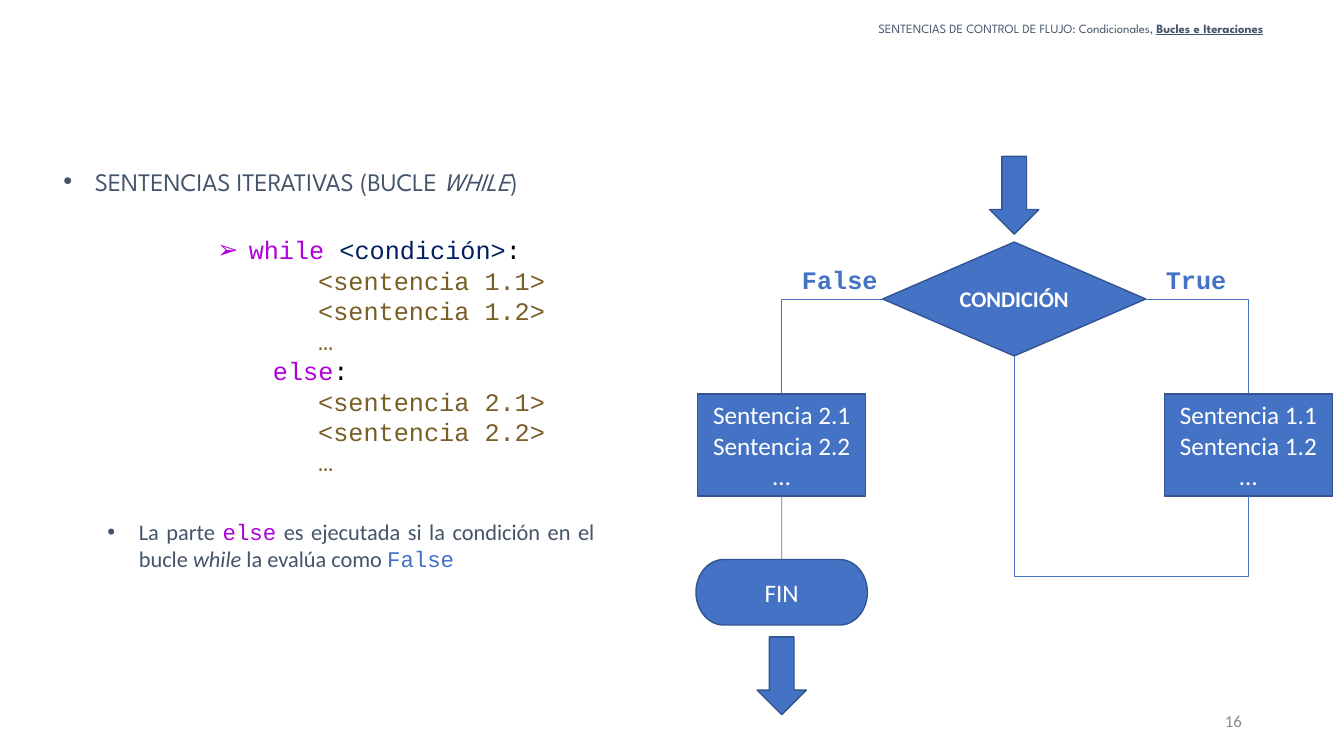
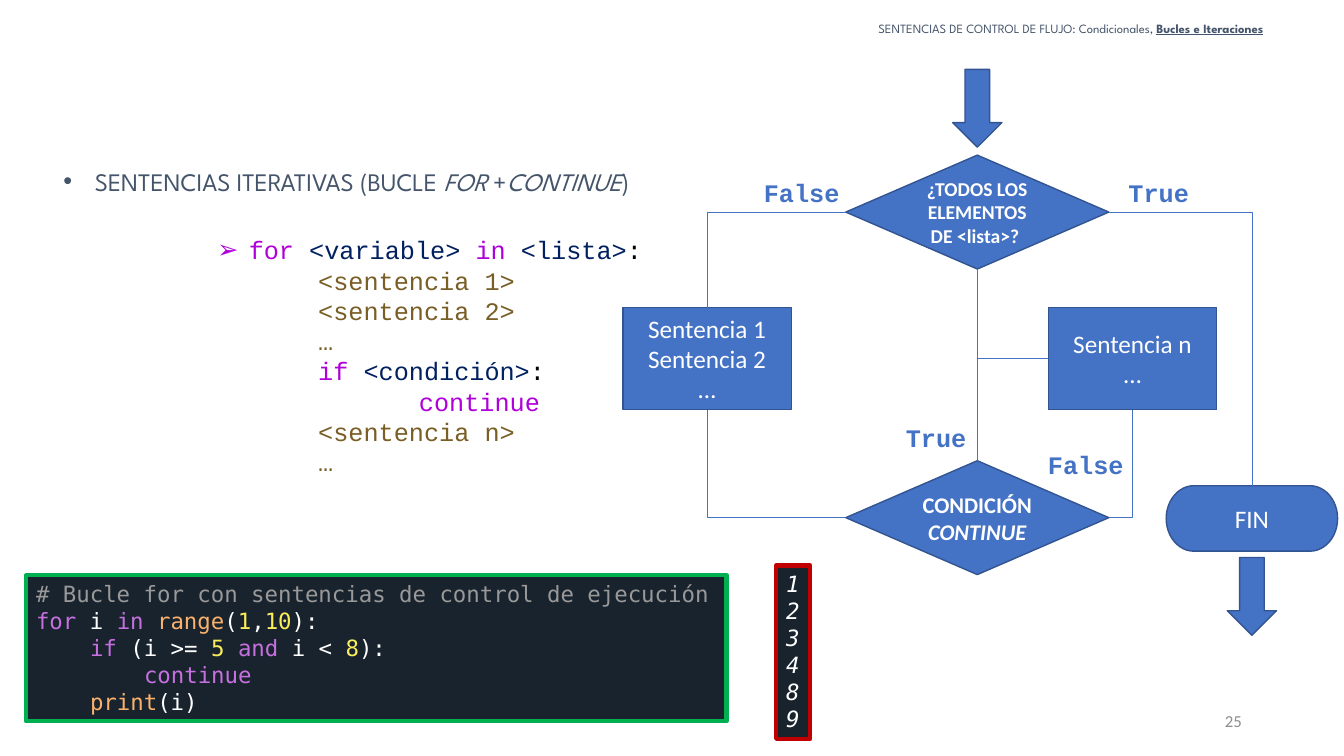
from lxml.etree import SubElement
from pptx import Presentation
from pptx.dml.color import RGBColor
from pptx.enum.shapes import MSO_CONNECTOR, MSO_SHAPE
from pptx.enum.text import MSO_ANCHOR, MSO_AUTO_SIZE, PP_ALIGN
from pptx.oxml.ns import qn
from pptx.util import Cm, Pt

# Colours
BLUE = RGBColor(0x44, 0x72, 0xC4)
EDGE = RGBColor(0x32, 0x54, 0x91)
SLATE = RGBColor(0x44, 0x54, 0x6A)
GREY = RGBColor(0x8C, 0x8C, 0x8C)
WHITE = RGBColor(0xFF, 0xFF, 0xFF)
BLACK = RGBColor(0, 0, 0)
PURPLE = RGBColor(0xAF, 0x00, 0xDB)
NAVY = RGBColor(0x00, 0x20, 0x60)
BROWN = RGBColor(0x79, 0x5E, 0x26)
DARK = RGBColor(0x19, 0x23, 0x2D)
GREEN = RGBColor(0x00, 0xB0, 0x50)
RED = RGBColor(0xC0, 0x00, 0x00)

# Text formats
HEADER = dict(name="League Spartan", size=Pt(9), color=SLATE)
HEADING = dict(name="League Spartan", size=Pt(18), color=SLATE)
SYNTAX = dict(name="Courier New", size=Pt(18), color=BLACK)
NOTE = dict(name="Calibri", size=Pt(16), color=SLATE)
LABEL = dict(name="Courier New", size=Pt(18), color=BLUE, bold=True)
NUMBER = dict(name="Calibri", size=Pt(12), color=GREY)
NODE = dict(name="Calibri", size=Pt(18), color=WHITE)
TERMINAL = dict(name="DejaVu Sans Mono", size=Pt(16), color=WHITE)
ITALIC = dict(italic=True)
KEY, VAR, BODY = (dict(color=c) for c in (PURPLE, NAVY, BROWN))
T_NOTE = dict(color=RGBColor(0x99, 0x99, 0x99))
T_KEY = dict(color=RGBColor(0xC6, 0x70, 0xE0))
T_FUNC = dict(color=RGBColor(0xFA, 0xB1, 0x6C))
T_NUM = dict(color=RGBColor(0xFA, 0xED, 0x5C))

# Paragraph layouts: left margin, first-line indent (cm), bullet
FLUSH = (0, 0, None)
DOT = (0.79, -0.79, "•")
LEAD = (5.87, -0.79, "➢")
ELSE = (6.48, 0, None)
INNER = (7.62, 0, None)
DEEP = (10.16, 0, None)
TAB1 = (1.36, 0, None)
TAB2 = (2.72, 0, None)

# Node kinds: shape, width, height (cm), text format
KINDS = {
    "arrow": (MSO_SHAPE.DOWN_ARROW, 1.24, 1.96, NODE),
    "decision": (MSO_SHAPE.FLOWCHART_DECISION, 6.63, 2.87,
                 NODE | dict(size=Pt(16), bold=True)),
    "question": (MSO_SHAPE.FLOWCHART_DECISION, 6.63, 2.87,
                 NODE | dict(size=Pt(14), bold=True)),
    "process": (MSO_SHAPE.FLOWCHART_PROCESS, 4.24, 2.57, NODE),
    "end": (MSO_SHAPE.FLOWCHART_TERMINATOR, 4.32, 1.65, NODE),
}
TOP, LEFT, BOTTOM, RIGHT = range(4)

# Content
TITLE = [(FLUSH, ["SENTENCIAS DE CONTROL DE FLUJO: Condicionales, ",
                  ("Bucles e Iteraciones", dict(bold=True, underline=True))])]


def body(*lines):
    return [(INNER, [(line, BODY)]) for line in lines]


def plain(*lines):
    return [(FLUSH, [line]) for line in lines]


SLIDES = [
    dict(
        number="16",
        heading=["SENTENCIAS ITERATIVAS (BUCLE ", ("WHILE", ITALIC), ")"],
        heading_width=15.01,
        syntax=[
            (LEAD, [("while ", KEY), ("<condición>", VAR), ":"]),
            *body("<sentencia 1.1>", "<sentencia 1.2>", "…"),
            (ELSE, [("else", KEY), ":"]),
            *body("<sentencia 2.1>", "<sentencia 2.2>", "…"),
        ],
        note=[(DOT, ["La parte ", ("else", dict(name="Courier New", color=PURPLE)),
                     " es ejecutada si la condición en el bucle ",
                     ("while", ITALIC), " la evalúa como ",
                     ("False", dict(name="Courier New", color=BLUE))])],
        # name: kind, centre x, top (cm), paragraphs
        nodes={
            "start": ("arrow", 25.56, 3.94, []),
            "condition": ("decision", 25.56, 6.1, plain("CONDICIÓN")),
            "loop": ("process", 31.46, 9.93,
                     plain("Sentencia 1.1", "Sentencia 1.2", "…")),
            "else": ("process", 19.7, 9.93,
                     plain("Sentencia 2.1", "Sentencia 2.2", "…")),
            "end": ("end", 19.7, 14.1, plain("FIN")),
            "exit": ("arrow", 19.7, 16.05, []),
        },
        links=[
            ("corner", "condition", RIGHT, "loop", TOP),
            ("corner", "condition", LEFT, "else", TOP),
            ("straight", "else", BOTTOM, "end", TOP),
            ("return", "loop", BOTTOM, "condition", BOTTOM),
        ],
        labels=[("True", 29.13, 6.53), ("False", 19.96, 6.53)],
        terminals=[],
    ),
    dict(
        number="25",
        heading=["SENTENCIAS ITERATIVAS (BUCLE ", ("FOR ", ITALIC), "+",
                 ("CONTINUE", ITALIC), ")"],
        heading_width=18.16,
        syntax=[
            (LEAD, [("for ", KEY), ("<variable> ", VAR), ("in ", KEY),
                    ("<lista>", VAR), ":"]),
            *body("<sentencia 1>", "<sentencia 2>", "…"),
            (INNER, [("if ", KEY), ("<condición>", VAR), ":"]),
            (DEEP, [("continue", KEY)]),
            *body("<sentencia n>", "…"),
        ],
        note=None,
        nodes={
            "start": ("arrow", 24.63, 1.75, []),
            "all": ("question", 24.63, 3.91,
                    plain("¿TODOS LOS ELEMENTOS DE <lista>? ")),
            "condition": ("decision", 24.63, 11.61,
                          [(FLUSH, ["CONDICIÓN ", ("CONTINUE", ITALIC)])]),
            "first": ("process", 17.82, 7.75,
                      plain("Sentencia 1", "Sentencia 2", "…")),
            "last": ("process", 28.54, 7.75, plain("Sentencia n", "…")),
            "end": ("end", 31.55, 12.24, plain("FIN")),
            "exit": ("arrow", 31.55, 14.05, []),
        },
        links=[
            ("corner", "all", RIGHT, "end", TOP),
            ("corner", "all", LEFT, "first", TOP),
            ("corner", "condition", LEFT, "first", BOTTOM),
            ("straight", "condition", TOP, "all", BOTTOM),
            ("corner", "condition", RIGHT, "last", BOTTOM),
            ("corner", "last", LEFT, "all", BOTTOM),
        ],
        labels=[("True", 28.19, 4.34), ("False", 19, 4.34),
                ("True", 22.58, 10.52), ("False", 26.16, 11.2)],
        # box (cm), border, extra format, paragraphs
        terminals=[
            ((0.66, 14.5, 17.65, 3.68), GREEN, {}, [
                (FLUSH, [("# Bucle for con sentencias de control de ejecución",
                          T_NOTE)]),
                (FLUSH, [("for ", T_KEY), "i ", ("in ", T_KEY),
                         ("range", T_FUNC), "(", ("1", T_NUM), ",",
                         ("10", T_NUM), "):"]),
                (TAB1, [("if", T_KEY), " (i >= ", ("5 ", T_NUM),
                        ("and ", T_KEY), "i < ", ("8", T_NUM), "):"]),
                (TAB2, [("continue", T_KEY)]),
                (TAB1, [("print", T_FUNC), "(i)"]),
            ]),
            ((19.56, 14.25, 0.86, 4.37), RED, ITALIC, plain(*"123489")),
        ],
    ),
]


# Text helpers
def write(tf, paragraphs, base, align=PP_ALIGN.LEFT, anchor=MSO_ANCHOR.TOP,
          wrap=True):
    tf.word_wrap = wrap
    tf.vertical_anchor = anchor
    tf.auto_size = MSO_AUTO_SIZE.NONE
    for i, ((margin, indent, bullet), runs) in enumerate(paragraphs):
        p = tf.add_paragraph() if i else tf.paragraphs[0]
        p.alignment = align
        pPr = p._p.get_or_add_pPr()
        pPr.set("marL", str(int(Cm(margin))))
        pPr.set("indent", str(int(Cm(indent))))
        if bullet:
            SubElement(pPr, qn("a:buFont")).set("typeface", "Arial")
            SubElement(pPr, qn("a:buChar")).set("char", bullet)
        for run in runs:
            text, extra = (run, {}) if isinstance(run, str) else run
            r = p.add_run()
            r.text = text
            for key, value in (base | extra).items():
                if key == "color":
                    r.font.color.rgb = value
                else:
                    setattr(r.font, key, value)


def add_text(s, box, paragraphs, base, **options):
    write(s.shapes.add_textbox(*map(Cm, box)).text_frame, paragraphs, base,
          **options)


# Shape helpers
def add_block(s, kind, box, fill, line, weight):
    sp = s.shapes.add_shape(kind, *map(Cm, box))
    sp.shadow.inherit = False
    sp.fill.solid()
    sp.fill.fore_color.rgb = fill
    sp.line.color.rgb = line
    sp.line.width = Pt(weight)
    return sp


def add_node(s, kind, centre, top, paragraphs):
    shape, width, height, base = KINDS[kind]
    sp = add_block(s, shape, (centre - width / 2, top, width, height),
                   BLUE, EDGE, 1)
    write(sp.text_frame, paragraphs, base, PP_ALIGN.CENTER, MSO_ANCHOR.MIDDLE)
    return sp


def add_link(s, route, start, start_site, end, end_site):
    kind = MSO_CONNECTOR.STRAIGHT if route == "straight" else MSO_CONNECTOR.ELBOW
    c = s.shapes.add_connector(kind, 0, 0, 0, 0)
    c.begin_connect(start, start_site)
    c.end_connect(end, end_site)
    c.line.color.rgb = BLUE
    c.line.width = Pt(0.5)
    spPr = c._element.spPr
    SubElement(spPr, qn("a:effectLst"))
    geometry = spPr.find(qn("a:prstGeom"))
    if route == "corner":
        geometry.set("prst", "bentConnector2")
    elif route == "return":
        # Quarter turn about the centre, dipping below both ends
        x, y = c.left + c.width // 2, c.top + c.height // 2
        c.width, c.height = c.height, c.width
        c.left, c.top = x - c.width // 2, y - c.height // 2
        for key, value in dict(rot="5400000", flipH="1", flipV="0").items():
            spPr.xfrm.set(key, value)
        guides = geometry.find(qn("a:avLst"))
        if guides is None:
            guides = SubElement(geometry, qn("a:avLst"))
        guide = SubElement(guides, qn("a:gd"))
        guide.set("name", "adj1")
        guide.set("fmla", "val -57500")


prs = Presentation()
prs.slide_width, prs.slide_height = Cm(33.87), Cm(19.05)

for content in SLIDES:
    s = prs.slides.add_slide(prs.slide_layouts[5])

    # Header and slide number
    title = s.shapes.title
    title.left, title.top, title.width, title.height = map(
        Cm, (20.24, 0.43, 13.49, 0.71))
    write(title.text_frame, TITLE, HEADER, PP_ALIGN.CENTER)
    title.text_frame.paragraphs[0].line_spacing = 0.9
    add_text(s, (23.93, 17.65, 7.62, 1.02), plain(content["number"]), NUMBER,
             align=PP_ALIGN.RIGHT, anchor=MSO_ANCHOR.MIDDLE)

    # Explanation
    add_text(s, (1.35, 4.06, content["heading_width"], 1.03),
             [(DOT, content["heading"])], HEADING)
    add_text(s, (0.15, 5.79, 16.94, 6.4), content["syntax"], SYNTAX)
    if content["note"]:
        add_text(s, (2.46, 12.93, 12.78, 1.62), content["note"], NOTE,
                 align=PP_ALIGN.JUSTIFY)

    # Flow chart
    nodes = {name: add_node(s, *node) for name, node in content["nodes"].items()}
    for route, start, start_site, end, end_site in content["links"]:
        add_link(s, route, nodes[start], start_site, nodes[end], end_site)
    for text, left, top in content["labels"]:
        add_text(s, (left, top, 0.5 + 0.39 * len(text), 1.03), plain(text),
                 LABEL, wrap=False)

    # Program and its output
    for box, border, extra, lines in content["terminals"]:
        sp = add_block(s, MSO_SHAPE.RECTANGLE, box, DARK, border, 3)
        write(sp.text_frame, lines, TERMINAL | extra, wrap=False)

prs.save("out.pptx")
